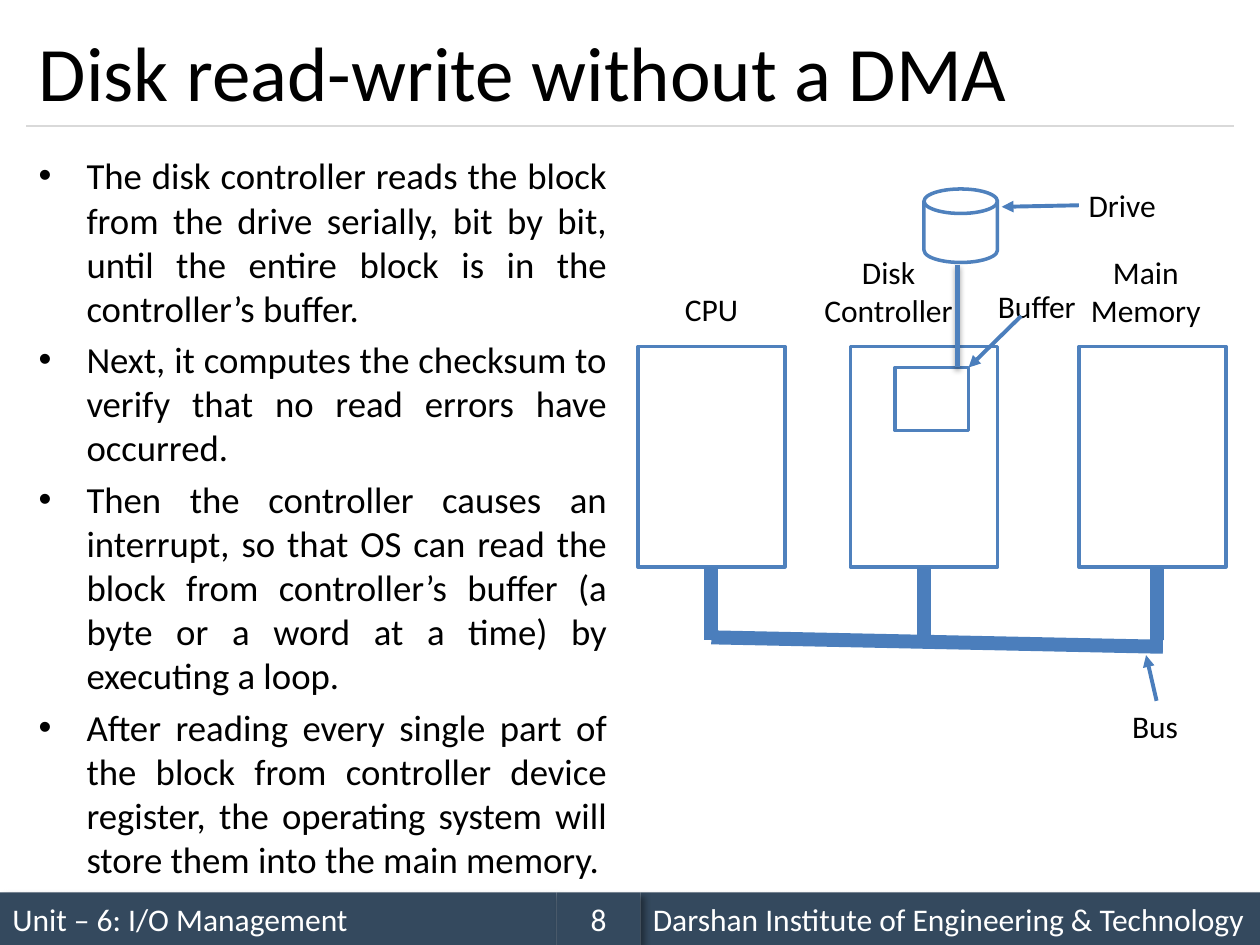
from pptx import Presentation
from pptx.dml.color import RGBColor
from pptx.enum.shapes import MSO_CONNECTOR, MSO_SHAPE as SHAPE
from pptx.enum.text import MSO_ANCHOR as ANCHOR, PP_ALIGN as ALIGN
from pptx.oxml import parse_xml
from pptx.oxml.ns import nsdecls
from pptx.util import Inches, Pt

BLUE, WIRE, NAVY = "4F81BD", "4B7EBC", "34495E"
BOTTOM = 2

BULLETS = [
    "The disk controller reads the block from the drive serially, bit by bit, "
    "until the entire block is in the controller’s buffer.",
    "Next, it computes the checksum to verify that no read errors have occurred.",
    "Then the controller causes an interrupt, so that OS can read the block from "
    "controller’s buffer (a byte or a word at a time) by executing a loop.",
    "After reading every single part of the block from controller device register, "
    "the operating system will store them into the main memory.",
]


def grid(*units):
    """Turn grid units, 12 to the inch (a slide of 120 by 90), into lengths."""
    return [Inches(u / 12) for u in units]


def rgb(color):
    return RGBColor.from_string(color)


def add_effects(shape, shadow=None):
    """Set the effect list; shadow is (opacity %, blur pt, distance pt, degrees)."""
    inner = ""
    if shadow:
        alpha, blur, dist, angle = shadow
        inner = (f'<a:outerShdw blurRad="{Pt(blur)}" dist="{Pt(dist)}" '
                 f'dir="{angle * 60000}" algn="ctr" rotWithShape="0">'
                 f'<a:srgbClr val="000000"><a:alpha val="{alpha * 1000}"/>'
                 '</a:srgbClr></a:outerShdw>')
    props = shape._element.spPr
    props.append(parse_xml(f'<a:effectLst {nsdecls("a")}>{inner}</a:effectLst>'))


def write(tf, text, size=18, color="000000", align=ALIGN.LEFT,
          anchor=ANCHOR.TOP, bullet=False, gap=0):
    """Fill a text frame with one paragraph for each line of text."""
    tf.text = text
    tf.word_wrap = True
    tf.vertical_anchor = anchor
    for i, p in enumerate(tf.paragraphs):
        if bullet:
            pPr = p._p.get_or_add_pPr()
            indent = Inches(0.38)
            pPr.set("marL", str(indent))
            pPr.set("indent", str(-indent))
            pPr.append(parse_xml(f'<a:buFont {nsdecls("a")} typeface="Arial"/>'))
            pPr.append(parse_xml(f'<a:buChar {nsdecls("a")} char="•"/>'))
        p.alignment = align
        if i and gap:
            p.space_before = Pt(gap)
        for r in p.runs:
            r.font.name = "Calibri"
            r.font.size = Pt(size)
            r.font.color.rgb = rgb(color)


def add_block(s, box, kind=SHAPE.RECTANGLE, fill="FFFFFF", line=BLUE):
    sp = s.shapes.add_shape(kind, *grid(*box))
    sp.shadow.inherit = False
    sp.fill.solid()
    sp.fill.fore_color.rgb = rgb(fill)
    if line:
        sp.line.color.rgb = rgb(line)
        sp.line.width = Pt(2)
    else:
        sp.line.fill.background()
    return sp


def add_line(s, start, end, color=WIRE, width=2.25, arrow=False, shadow=None):
    line = s.shapes.add_connector(MSO_CONNECTOR.STRAIGHT, *grid(*start, *end))
    line.line.color.rgb = rgb(color)
    line.line.width = Pt(width)
    if arrow:
        line.line._get_or_add_ln().append(
            parse_xml(f'<a:tailEnd {nsdecls("a")} type="triangle"/>'))
    add_effects(line, shadow)
    return line


def add_title(s, box, text):
    x, y, w, h = box
    title = s.shapes.title
    title.left, title.top, title.width, title.height = grid(*box)
    write(title.text_frame, text, size=44, anchor=ANCHOR.MIDDLE)
    add_line(s, (x, y + h), (x + w, y + h), color="D9D9D9", width=0.75)


def add_bullets(s, box, lines):
    tf = s.shapes.add_textbox(*grid(*box)).text_frame
    write(tf, "\n".join(lines), size=21, align=ALIGN.JUSTIFY, bullet=True, gap=4.2)


def add_footer(s, box, unit, school, number):
    x, y, w, h = box
    parts = [(0, 53, unit, ALIGN.LEFT), (61, w, school, ALIGN.LEFT),
             (53, 61, number, ALIGN.CENTER)]
    for left, right, text, align in parts:
        sp = add_block(s, (x + left, y, right - left, h), fill=NAVY, line=None)
        sp._element.spPr.remove(sp._element.spPr[-1])
        add_effects(sp, (40, 4, 3, 45))
        write(sp.text_frame, text, color="FFFFFF", align=align, anchor=ANCHOR.MIDDLE)


def add_diagram(s, box):
    """Draw the units, the drive and the bus from the box's top left corner."""
    x0, y0, _, _ = box

    def at(x, y, *size):
        return (x0 + x, y0 + y, *size)

    cpu, controller, _ = [add_block(s, at(x, 16, 14, 21)) for x in (0, 20.25, 42)]
    add_block(s, at(27.25, 1, 7, 7), SHAPE.FLOWCHART_MAGNETIC_DISK)
    add_block(s, at(24.5, 18, 7, 6))

    drops = [add_line(s, at(x, 37), at(x, 44), width=8) for x in (7, 27.25, 49.4)]
    for drop, unit in zip(drops, (cpu, controller)):
        drop.begin_connect(unit, BOTTOM)
    add_line(s, at(7, 43.7), at(50, 44.6), width=8)

    labels = [
        ("CPU", 3, 10, 8),
        ("Disk\nController", 16.25, 6.5, 15.25),
        ("Main\nMemory", 40.75, 6.5, 15.25),
        ("Bus", 45.25, 49.75, 8),
        ("Buffer", 32.5, 9.75, 11),
        ("Drive", 41.25, 0.15, 9.75),
    ]
    for text, x, y, w in labels:
        height = 4.8 + 3.7 * text.count("\n")
        tf = s.shapes.add_textbox(*grid(*at(x, y, w, height))).text_frame
        write(tf, text, align=ALIGN.CENTER)

    pointers = [((49.4, 49.75), (48.4, 45.4)),
                ((36.5, 13.1), (31.5, 18)),
                ((42, 2.55), (34.65, 2.7))]
    for start, end in pointers:
        add_line(s, at(*start), at(*end), arrow=True)
    add_line(s, at(30.45, 8.2), at(30.45, 18), color=BLUE, width=3,
             shadow=(35, 3.1, 1.8, 90))


def main():
    prs = Presentation()
    prs.slide_width, prs.slide_height = grid(120, 90)
    s = prs.slides.add_slide(prs.slide_layouts[5])
    add_footer(s, (0, 85, 120, 5), "Unit – 6: I/O Management",
               "Darshan Institute of Engineering & Technology", "8")
    add_title(s, (2.5, 1.5, 115, 10.5), "Disk read-write without a DMA")
    add_bullets(s, (2.5, 14, 56.5, 70), BULLETS)
    add_diagram(s, (60.75, 17, 56, 54.5))
    prs.save("out.pptx")


if __name__ == "__main__":
    main()
